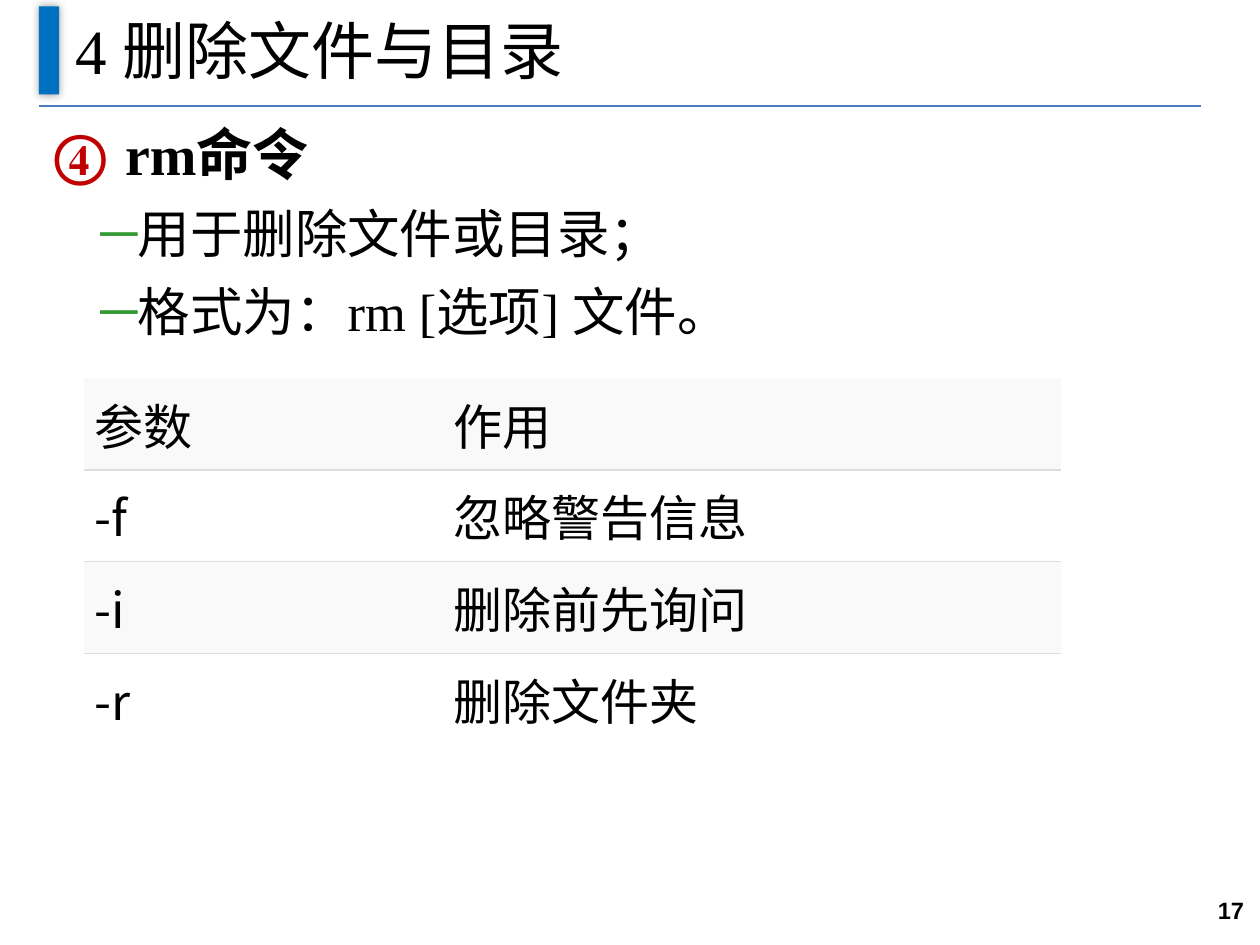
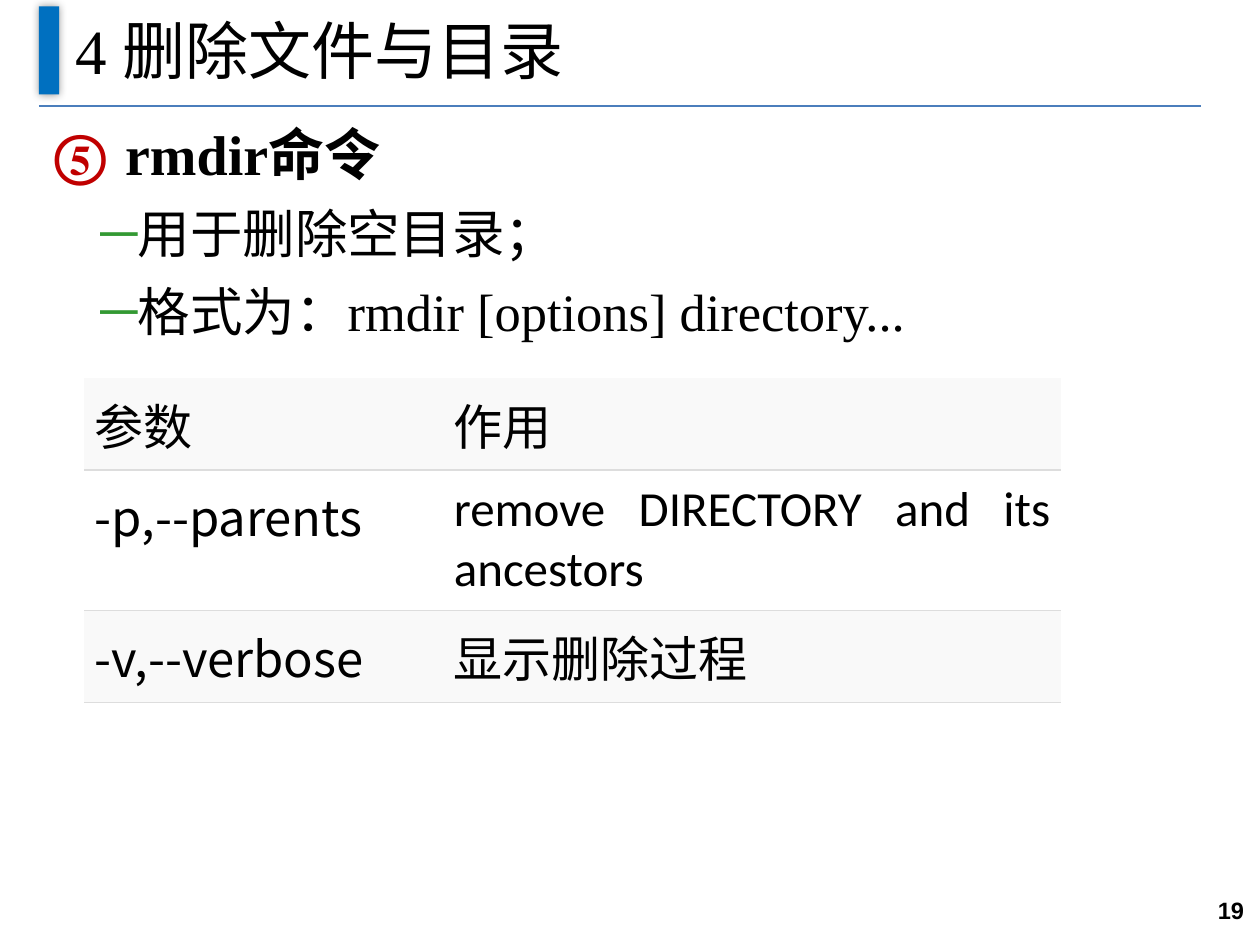
from lxml.etree import SubElement
from pptx import Presentation
from pptx.dml.color import RGBColor
from pptx.enum.shapes import MSO_CONNECTOR, MSO_SHAPE
from pptx.enum.text import MSO_ANCHOR, MSO_AUTO_SIZE, PP_ALIGN
from pptx.oxml.ns import qn
from pptx.util import Pt

# Colours and fonts
BLACK = RGBColor(0x00, 0x00, 0x00)
WHITE = RGBColor(0xFF, 0xFF, 0xFF)
BLUE = RGBColor(0x00, 0x70, 0xC0)
STEEL = RGBColor(0x4B, 0x7E, 0xBC)
RED = RGBColor(0xC0, 0x00, 0x00)
GREEN = RGBColor(0x33, 0x99, 0x33)
PALE = RGBColor(0xF9, 0xF9, 0xF9)
GREY = RGBColor(0xDD, 0xDD, 0xDD)
SERIF, SANS, PLAIN = "Times New Roman", "Arial", "Calibri"
HAN = "Noto Sans CJK SC"
NO_STYLE = "{2D5ABB26-0587-4C30-8999-92F81FD0307C}"

# Boxes: left, top, width, height
HEAD = (22.3, 3.6, 663.8, 56.9)
LIST = (23.8, 65.5, 661, 456.5)
GRID = (48.2, 216, 558, 49.5)
FOOT = (650.9, 500.4, 67, 39.6)

TITLE = "4 删除文件与目录"
TOPICS = [
    dict(page=17, start=4, name="rm命令",
         notes=["用于删除文件或目录；", "格式为：rm [选项] 文件。"],
         rows=[("-f", "忽略警告信息"), ("-i", "删除前先询问"), ("-r", "删除文件夹")]),
    dict(page=19, start=5, name="rmdir命令",
         notes=["用于删除空目录；", "格式为：rmdir [options] directory..."],
         rows=[("-p,--parents", "remove DIRECTORY and its ancestors"),
               ("-v,--verbose", "显示删除过程")]),
]


def node(top, tag, **attrs):
    return SubElement(top, qn(tag), attrs)


def paint(top, color):
    node(node(top, "a:solidFill"), "a:srgbClr", val=str(color))


def write(para, text, size=28, face=SERIF, bold=False, align=PP_ALIGN.JUSTIFY):
    para.alignment = align
    run = para.add_run()
    run.text = text
    font = run.font
    font.size, font.name, font.bold = Pt(size), face, bold
    font.color.rgb = BLACK
    node(run._r.get_or_add_rPr(), "a:ea", typeface=HAN)


def place(shape, box):
    shape.left, shape.top, shape.width, shape.height = map(Pt, box)


def draw_head(slide, box):
    left, top, width, height = box
    # Blue bar with a soft shadow
    bar = slide.shapes.add_shape(MSO_SHAPE.RECTANGLE, Pt(left), Pt(top), Pt(11.5), Pt(50.4))
    bar.fill.solid()
    bar.fill.fore_color.rgb = BLUE
    bar.line.fill.background()
    bar.shadow.inherit = False
    glow = node(bar._element.spPr.find(qn("a:effectLst")), "a:outerShdw",
                blurRad=str(Pt(5)), dist="0", dir="0", rotWithShape="0")
    node(node(glow, "a:srgbClr", val=str(BLACK)), "a:alpha", val="40000")
    # Rule below the title
    base = Pt(top + height)
    rule = slide.shapes.add_connector(MSO_CONNECTOR.STRAIGHT, Pt(left), base, Pt(left + width), base)
    rule.line.color.rgb, rule.line.width = STEEL, Pt(0.75)
    node(rule._element.spPr, "a:effectLst")
    # Title
    title = slide.shapes.title
    place(title, (left + 13.7, top - 5.8, 648, 60.5))
    frame = title.text_frame
    frame.vertical_anchor, frame.auto_size = MSO_ANCHOR.MIDDLE, MSO_AUTO_SIZE.NONE
    write(frame.paragraphs[0], TITLE, size=36, align=PP_ALIGN.LEFT)


def add_item(para, text, size, pitch, level, edge, hang, color, mark, **attrs):
    para.level, para.line_spacing = level, Pt(pitch)
    para.space_before = para.space_after = Pt(4.5)
    write(para, text, size=size, bold=level == 0)
    props = para._p.get_or_add_pPr()
    props.set("marL", str(Pt(edge)))
    props.set("indent", str(-Pt(hang)))
    paint_mark = node(props, "a:buClr")
    node(paint_mark, "a:srgbClr", val=str(color))
    node(props, "a:buFont", typeface=SERIF)
    node(props, mark, **attrs)


def draw_list(slide, box, topic):
    body = slide.placeholders[1]
    place(body, box)
    frame = body.text_frame
    frame.auto_size = MSO_AUTO_SIZE.NONE
    add_item(frame.paragraphs[0], topic["name"], 32, 37.3, 0, 40.5, 40.5, RED,
             "a:buAutoNum", type="circleNumDbPlain", startAt=str(topic["start"]))
    for note in topic["notes"]:
        add_item(frame.add_paragraph(), note, 30, 35.6, 1, 47.25, 20.9, GREEN,
                 "a:buChar", char="─")


def fill_cell(cell, text, face, color, ruled):
    cell.margin_left = cell.margin_right = Pt(6)
    cell.margin_top = cell.margin_bottom = Pt(6)
    write(cell.text_frame.paragraphs[0], text, face=face)
    if ruled:
        paint(node(cell._tc.get_or_add_tcPr(), "a:lnB", w=str(Pt(1))), GREY)
    cell.fill.solid()
    cell.fill.fore_color.rgb = color


def draw_grid(slide, box, rows):
    left, top, width, pitch = box
    rows = [("参数", "作用")] + rows
    count = len(rows)
    table = slide.shapes.add_table(count, 2, Pt(left), Pt(top), Pt(width), Pt(pitch * count)).table
    table.first_row = table.horz_banding = False
    table._tbl.tblPr.find(qn("a:tableStyleId")).text = NO_STYLE
    table.columns[0].width, table.columns[1].width = Pt(205.2), Pt(width - 205.2)
    for r, row in enumerate(rows):
        table.rows[r].height = Pt(pitch)
        shade = r % 2 == 0
        for c, text in enumerate(row):
            fill_cell(table.cell(r, c), text, HAN if r and c == 0 else PLAIN,
                      PALE if shade else WHITE, shade or r < count - 1)


def draw_foot(slide, box, page):
    frame = slide.shapes.add_textbox(*map(Pt, box)).text_frame
    frame.word_wrap, frame.vertical_anchor = True, MSO_ANCHOR.MIDDLE
    write(frame.paragraphs[0], str(page), size=13.5, face=SANS, bold=True, align=PP_ALIGN.RIGHT)


def main():
    deck = Presentation()
    deck.slide_width, deck.slide_height = Pt(720), Pt(540)
    for topic in TOPICS:
        slide = deck.slides.add_slide(deck.slide_layouts[1])
        draw_head(slide, HEAD)
        draw_list(slide, LIST, topic)
        draw_grid(slide, GRID, topic["rows"])
        draw_foot(slide, FOOT, topic["page"])
    deck.save("out.pptx")


if __name__ == "__main__":
    main()
